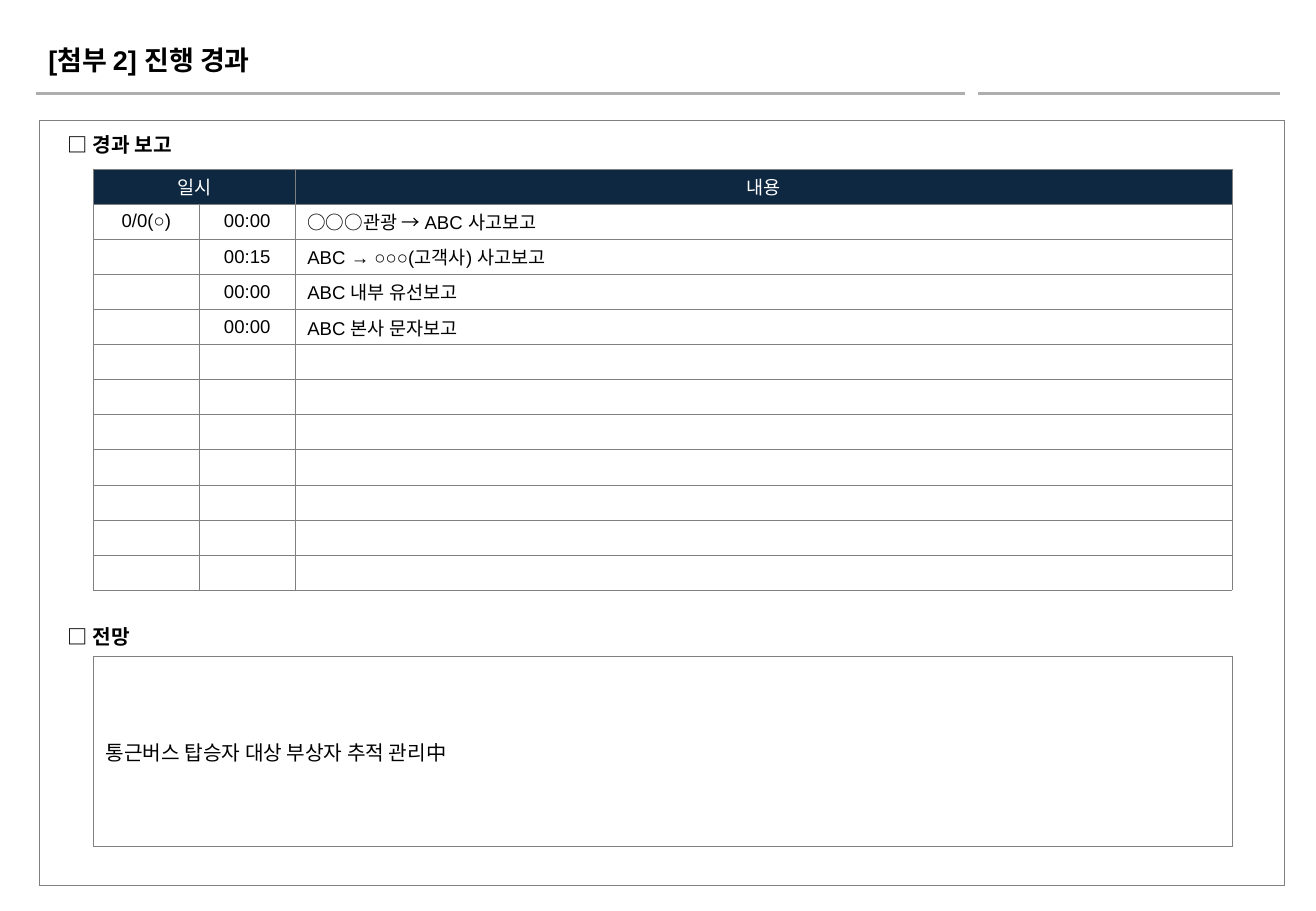
from lxml import etree
from pptx import Presentation
from pptx.dml.color import RGBColor
from pptx.enum.shapes import MSO_CONNECTOR
from pptx.enum.text import MSO_ANCHOR, PP_ALIGN
from pptx.oxml.ns import qn
from pptx.util import Inches, Pt

STRAIGHT = MSO_CONNECTOR.STRAIGHT
MIDDLE = MSO_ANCHOR.MIDDLE
LEFT, CENTER = PP_ALIGN.LEFT, PP_ALIGN.CENTER

THEME = {
    "ink": RGBColor(0x00, 0x00, 0x00),
    "white": RGBColor(0xFF, 0xFF, 0xFF),
    "navy": RGBColor(0x0E, 0x28, 0x41),
    "rule": RGBColor(0xAE, 0xAE, 0xAE),
    "border": "808080",
    "font": "Arial",
    "outlook_font": "Karla",
    "title": 16,
    "heading": 12,
    "body": 11,
}

prs = Presentation()
prs.slide_width, prs.slide_height = Inches(10.83), Inches(7.5)
slide = prs.slides.add_slide(prs.slide_layouts[6])


def write(frame, text, size, color, bold=False, align=LEFT, font=THEME["font"]):
    frame.text = text
    paragraph = frame.paragraphs[0]
    paragraph.alignment = align
    for run in paragraph.runs:
        run.font.name = font
        run.font.size = Pt(size)
        run.font.bold = bold
        run.font.color.rgb = color
    if not text:
        etree.SubElement(paragraph._p, qn("a:endParaRPr"), sz=str(size * 100))


def add_grid(left, top, widths, heights):
    grid = slide.shapes.add_table(
        len(heights), len(widths), Inches(left), Inches(top),
        Inches(sum(widths)), Inches(sum(heights))).table
    grid.first_row = grid.horz_banding = False
    for column, width in zip(grid.columns, widths):
        column.width = Inches(width)
    for row, height in zip(grid.rows, heights):
        row.height = Inches(height)
    for cell in grid.iter_cells():
        cell.vertical_anchor = MIDDLE
        cell.margin_top = cell.margin_bottom = Inches(0.02)
        properties = cell._tc.get_or_add_tcPr()
        for side in ("a:lnL", "a:lnR", "a:lnT", "a:lnB"):
            edge = etree.SubElement(properties, qn(side), w=str(Pt(0.25)))
            paint = etree.SubElement(edge, qn("a:solidFill"))
            etree.SubElement(paint, qn("a:srgbClr"), val=THEME["border"])
        cell.fill.background()
    return grid


for start, end in ((0.3, 7.94), (8.05, 10.53)):
    rule = slide.shapes.add_connector(
        STRAIGHT, Inches(start), Inches(0.77), Inches(end), Inches(0.77))
    rule.line.color.rgb = THEME["rule"]
    rule.line.width = Pt(2)
    etree.SubElement(rule._element.spPr, qn("a:effectLst"))

page_frame = add_grid(0.32, 0.99, [10.25], [6.3]).cell(0, 0)
page_frame.fill.solid()
page_frame.fill.fore_color.rgb = THEME["white"]

headings = [
    ("[첨부 2] 진행 경과", 0.3, 0.31, 7.13, 0.37, THEME["title"]),
    ("□ 경과 보고", 0.46, 1.04, 6.98, 0.3, THEME["heading"]),
    ("□ 전망", 0.46, 5.09, 6.98, 0.3, THEME["heading"]),
]
for text, left, top, width, height, size in headings:
    heading = slide.shapes.add_textbox(
        Inches(left), Inches(top), Inches(width), Inches(height))
    heading.text_frame.word_wrap = True
    write(heading.text_frame, text, size, THEME["ink"], bold=True)

progress_rows = [
    ("일시", "", "내용"),
    ("0/0(○)", "00:00", "○○○관광 → ABC 사고보고"),
    ("", "00:15", "ABC → ○○○(고객사) 사고보고"),
    ("", "00:00", "ABC 내부 유선보고"),
    ("", "00:00", "ABC 본사 문자보고"),
] + [("", "", "")] * 7
row_count = len(progress_rows)
progress = add_grid(0.77, 1.39, [0.87, 0.79, 7.71], [3.47 / row_count] * row_count)
for r, entries in enumerate(progress_rows):
    for c, entry in enumerate(entries):
        cell = progress.cell(r, c)
        is_header = r == 0
        write(cell.text_frame, entry, THEME["body"],
              THEME["white"] if is_header else THEME["ink"],
              align=CENTER if is_header or c < 2 else LEFT)
        if is_header:
            cell.fill.solid()
            cell.fill.fore_color.rgb = THEME["navy"]
progress.cell(0, 0).merge(progress.cell(0, 1))

outlook = add_grid(0.77, 5.4, [9.37], [1.57]).cell(0, 0)
write(outlook.text_frame, "통근버스 탑승자 대상 부상자 추적 관리中",
      THEME["heading"], THEME["ink"], font=THEME["outlook_font"])

prs.save("out.pptx")
